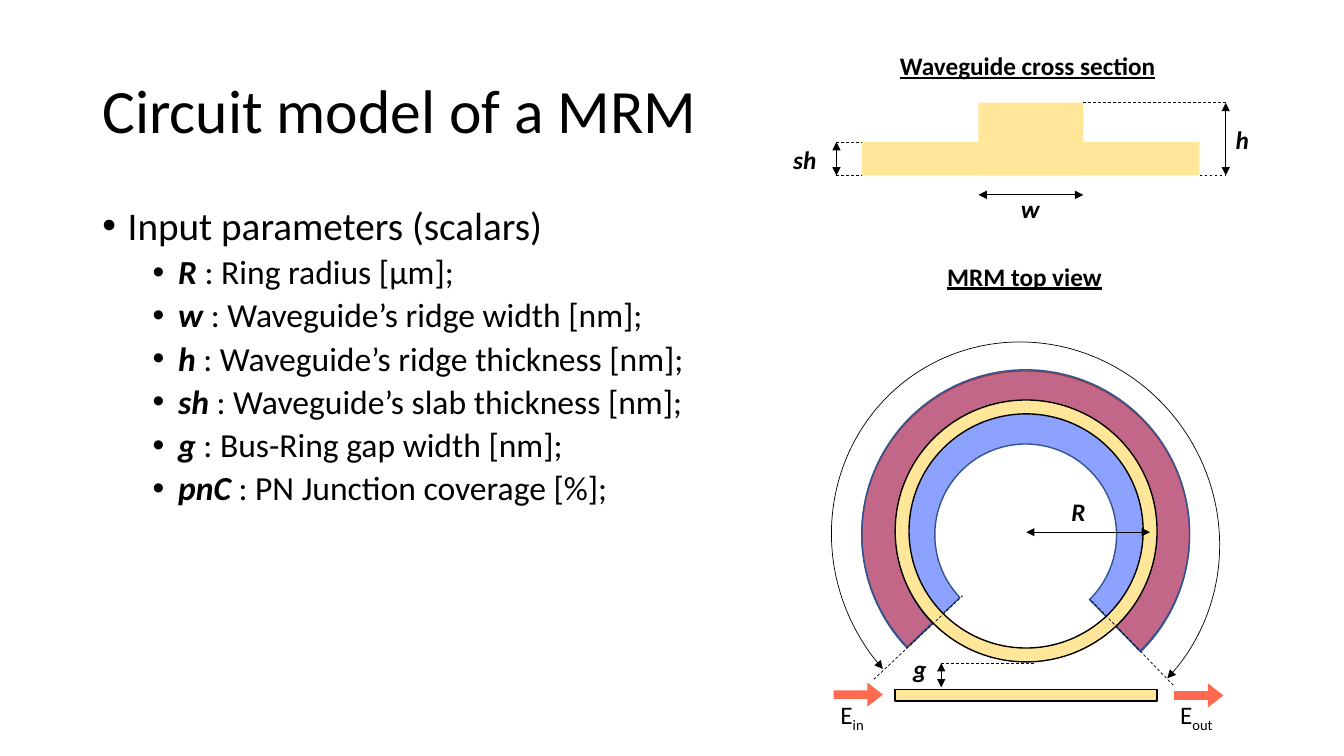
from dataclasses import dataclass

import lxml.etree
import pptx
import pptx.dml.color
import pptx.enum.dml
import pptx.enum.shapes
import pptx.enum.text
import pptx.oxml.ns
import pptx.util
from pptx.util import Cm

FONT = "Calibri"
COLORS = {
    "black": "000000",
    "silicon": "FFE699",
    "inner_doping": "0432FF",
    "outer_doping": "FF2600",
    "doping_edge": "325491",
}
SHAPES = pptx.enum.shapes.MSO_SHAPE
ANGLE_UNIT = 0.6  # adjustment value of one degree


@dataclass
class Block:
    kind: int
    left: float
    top: float
    width: float
    height: float
    fill: str = ""
    opacity: int = 100
    edge: str = ""
    edge_width: float = 1
    adjustments: tuple[float, ...] = ()
    rotation: float = 0
    arrowheads: bool = False


@dataclass
class Line:
    x1: float
    y1: float
    x2: float
    y2: float
    dashed: bool = False


@dataclass
class Label:
    text: str
    left: float
    top: float
    width: float
    bold: bool = True
    italic: bool = True
    underline: bool = False
    subscript: str = ""
    wrap: bool = False


def color(name: str) -> pptx.dml.color.RGBColor:
    return pptx.dml.color.RGBColor.from_string(COLORS[name])


def add_element(parent, tag: str, **attributes: str) -> None:
    element = lxml.etree.SubElement(parent, pptx.oxml.ns.qn(tag))
    for name, value in attributes.items():
        element.set(name, value)


def add_arrowheads(shape) -> None:
    outline = shape.element.spPr.find(pptx.oxml.ns.qn("a:ln"))
    for tag in ("a:headEnd", "a:tailEnd"):
        add_element(outline, tag, type="triangle")


def format_run(run, size: float, bold: bool = False, italic: bool = False) -> None:
    run.font.name = FONT
    run.font.size = pptx.util.Pt(size)
    run.font.bold = bold
    run.font.italic = italic
    run.font.color.rgb = color("black")


def draw_block(slide, block: Block) -> None:
    shape = slide.shapes.add_shape(
        block.kind, Cm(block.left), Cm(block.top), Cm(block.width), Cm(block.height))
    shape.shadow.inherit = False
    shape.rotation = block.rotation
    for index, value in enumerate(block.adjustments):
        shape.adjustments[index] = value
    if block.fill:
        shape.fill.solid()
        shape.fill.fore_color.rgb = color(block.fill)
        if block.opacity < 100:
            fill_color = next(shape.element.spPr.iter(pptx.oxml.ns.qn("a:srgbClr")))
            add_element(fill_color, "a:alpha", val=str(block.opacity * 1000))
    else:
        shape.fill.background()
    if block.edge:
        shape.line.color.rgb = color(block.edge)
        shape.line.width = pptx.util.Pt(block.edge_width)
    else:
        shape.line.fill.background()
    if block.arrowheads:
        add_arrowheads(shape)


def draw_line(slide, line: Line) -> None:
    connector = slide.shapes.add_connector(
        pptx.enum.shapes.MSO_CONNECTOR.STRAIGHT,
        Cm(line.x1), Cm(line.y1), Cm(line.x2), Cm(line.y2))
    connector.line.color.rgb = color("black")
    connector.line.width = pptx.util.Pt(0.5)
    if line.dashed:
        connector.line.dash_style = pptx.enum.dml.MSO_LINE.DASH
    else:
        add_arrowheads(connector)
    add_element(connector.element.spPr, "a:effectLst")


def draw_label(slide, label: Label) -> None:
    box = slide.shapes.add_textbox(
        Cm(label.left), Cm(label.top), Cm(label.width), Cm(1.03))
    box.text_frame.text = label.text
    box.text_frame.word_wrap = label.wrap
    box.text_frame.auto_size = pptx.enum.text.MSO_AUTO_SIZE.SHAPE_TO_FIT_TEXT
    paragraph = box.text_frame.paragraphs[0]
    if label.subscript:
        paragraph.add_run().text = label.subscript
    for run in paragraph.runs:
        format_run(run, 18, label.bold, label.italic)
        run.font.underline = label.underline
    for run in paragraph.runs[1:]:
        run._r.get_or_add_rPr().set("baseline", "-25000")


def add_bullet(paragraph, indent: float) -> None:
    properties = paragraph._p.get_or_add_pPr()
    properties.set("marL", str(Cm(indent)))
    properties.set("indent", str(-Cm(0.64)))
    add_element(properties, "a:buFont", typeface="Arial")
    add_element(properties, "a:buChar", char="•")
    paragraph.line_spacing = 0.9


def draw_title(slide, text: str) -> None:
    box = slide.shapes.add_textbox(Cm(2.33), Cm(1.01), Cm(29.21), Cm(3.68))
    box.text_frame.text = text
    box.text_frame.word_wrap = True
    box.text_frame.vertical_anchor = pptx.enum.text.MSO_ANCHOR.MIDDLE
    paragraph = box.text_frame.paragraphs[0]
    paragraph.line_spacing = 0.9
    format_run(paragraph.runs[0], 44)


def draw_parameters(slide, heading: str, parameters: dict[str, str]) -> None:
    box = slide.shapes.add_textbox(Cm(2.33), Cm(5.07), Cm(29.21), Cm(12.09))
    box.text_frame.text = heading
    box.text_frame.word_wrap = True
    first = box.text_frame.paragraphs[0]
    add_bullet(first, 0.64)
    format_run(first.runs[0], 28)
    for symbol, meaning in parameters.items():
        paragraph = box.text_frame.add_paragraph()
        paragraph.text = symbol
        paragraph.level = 1
        add_bullet(paragraph, 1.91)
        paragraph.space_before = pptx.util.Pt(5)
        paragraph.add_run().text = f" : {meaning};"
        format_run(paragraph.runs[0], 24, bold=True, italic=True)
        format_run(paragraph.runs[1], 24)


PARAMETERS = {
    "R": "Ring radius [µm]",
    "w": "Waveguide’s ridge width [nm]",
    "h": "Waveguide’s ridge thickness [nm]",
    "sh": "Waveguide’s slab thickness [nm]",
    "g": "Bus-Ring gap width [nm]",
    "pnC": "PN Junction coverage [%]",
}

# Waveguide cross section
RIDGE_LEFT, RIDGE_RIGHT, RIDGE_TOP = 24.66, 27.3, 2.59
SLAB_LEFT, SLAB_RIGHT, SLAB_TOP, BASE = 21.72, 30.23, 3.58, 4.42
SLAB_MARK, RIDGE_MARK = 21.08, 30.89
CROSS_SECTION = [
    Block(SHAPES.RECTANGLE, SLAB_LEFT, SLAB_TOP, SLAB_RIGHT - SLAB_LEFT, BASE - SLAB_TOP, "silicon"),
    Block(SHAPES.RECTANGLE, RIDGE_LEFT, RIDGE_TOP, RIDGE_RIGHT - RIDGE_LEFT, BASE - RIDGE_TOP, "silicon"),
    Line(SLAB_MARK, SLAB_TOP, SLAB_MARK, BASE),
    Line(RIDGE_MARK, RIDGE_TOP, RIDGE_MARK, BASE),
    Line(RIDGE_RIGHT, 4.91, RIDGE_LEFT, 4.91),
    Line(RIDGE_RIGHT, RIDGE_TOP, RIDGE_MARK, RIDGE_TOP, dashed=True),
    Line(SLAB_RIGHT, BASE, RIDGE_MARK, BASE, dashed=True),
    Line(SLAB_MARK, SLAB_TOP, SLAB_LEFT, SLAB_TOP, dashed=True),
    Line(SLAB_MARK, BASE, SLAB_LEFT, BASE, dashed=True),
    Label("h", 30.89, 3, 0.86),
    Label("sh", 19.74, 3.51, 1.09),
    Label("w", 25.48, 4.75, 0.99),
    Label("Waveguide cross section", 22.43, 1.14, 7.01, italic=False, underline=True),
]

# Ring modulator seen from above
DOPING, RING = 8.26, 6.6  # outer diameters
GAP_MARK, RING_BOTTOM = 23.72, 16.71
TOP_VIEW = [
    Label("MRM top view", 23.62, 6.45, 4.45, italic=False, underline=True),
    Block(SHAPES.ARC, 20.83, 8.74, 10.03, 9.7, edge="black", edge_width=0.5, rotation=240,
          adjustments=(257.74 * ANGLE_UNIT, 164.41 * ANGLE_UNIT), arrowheads=True),
    Block(SHAPES.BLOCK_ARC, 21.72, 9.35, DOPING, DOPING, "inner_doping", 45, "doping_edge",
          adjustments=(136.41 * ANGLE_UNIT, 45.41 * ANGLE_UNIT, 1.84 / DOPING)),
    Block(SHAPES.BLOCK_ARC, 21.72, 9.32, DOPING, DOPING, "outer_doping", 47, "doping_edge",
          adjustments=(136.29 * ANGLE_UNIT, 45.73 * ANGLE_UNIT, 0.87 / DOPING)),
    Block(SHAPES.DONUT, 22.56, 10.08, RING, RING, "silicon", edge="black", adjustments=(0.35 / RING,)),
    Block(SHAPES.RECTANGLE, 22.56, 17.37, RING, 0.3, "silicon", edge="black"),
    Line(GAP_MARK, RING_BOTTOM, GAP_MARK, 17.32),
    Label("g", 22.76, 16.33, 1.9, wrap=True),
    Line(GAP_MARK, RING_BOTTOM, 26.06, RING_BOTTOM, dashed=True),
    Line(28.98, 13.41, 25.86, 13.41),
    Label("R", 26.75, 12.37, 0.86),
    Line(22.02, 17.12, 24.26, 15.01, dashed=True),
    Line(29.57, 17.27, 27.46, 15.09, dashed=True),
    *(Block(SHAPES.RIGHT_ARROW, left, top, 1.24, 0.61, "outer_doping", 69, adjustments=(0.36, 0.64))
      for left, top in ((21.01, 17.2), (29.59, 17.22))),
    Label("E", 20.93, 17.5, 1.14, bold=False, italic=False, subscript="in"),
    Label("E", 29.49, 17.5, 1.4, bold=False, italic=False, subscript="out"),
]


def main() -> None:
    presentation = pptx.Presentation()
    presentation.slide_width, presentation.slide_height = Cm(33.87), Cm(19.05)
    slide = presentation.slides.add_slide(presentation.slide_layouts[6])
    draw_title(slide, "Circuit model of a MRM")
    draw_parameters(slide, "Input parameters (scalars)", PARAMETERS)
    painters = {Block: draw_block, Line: draw_line, Label: draw_label}
    for part in CROSS_SECTION + TOP_VIEW:
        painters[type(part)](slide, part)
    presentation.save("out.pptx")


if __name__ == "__main__":
    main()
